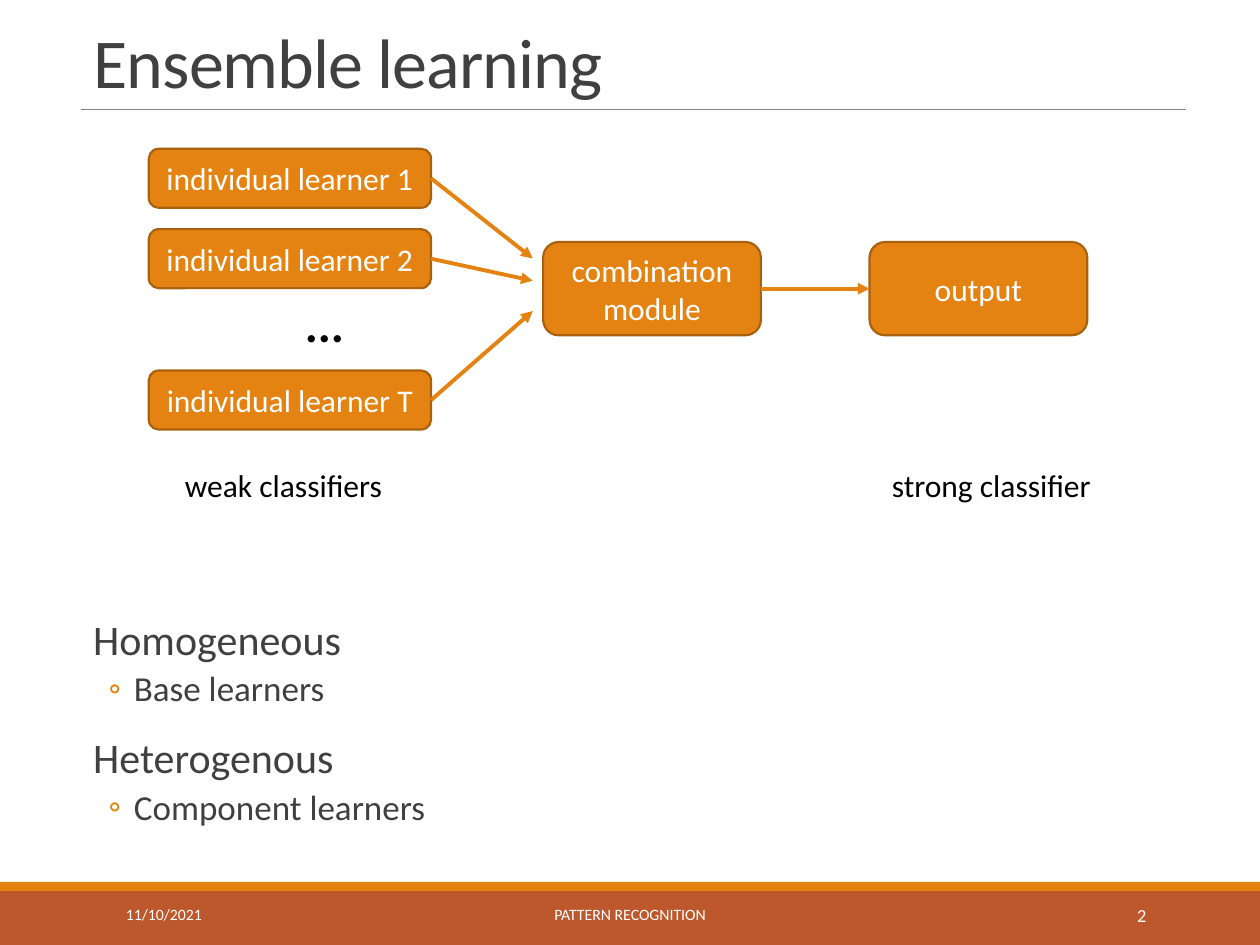
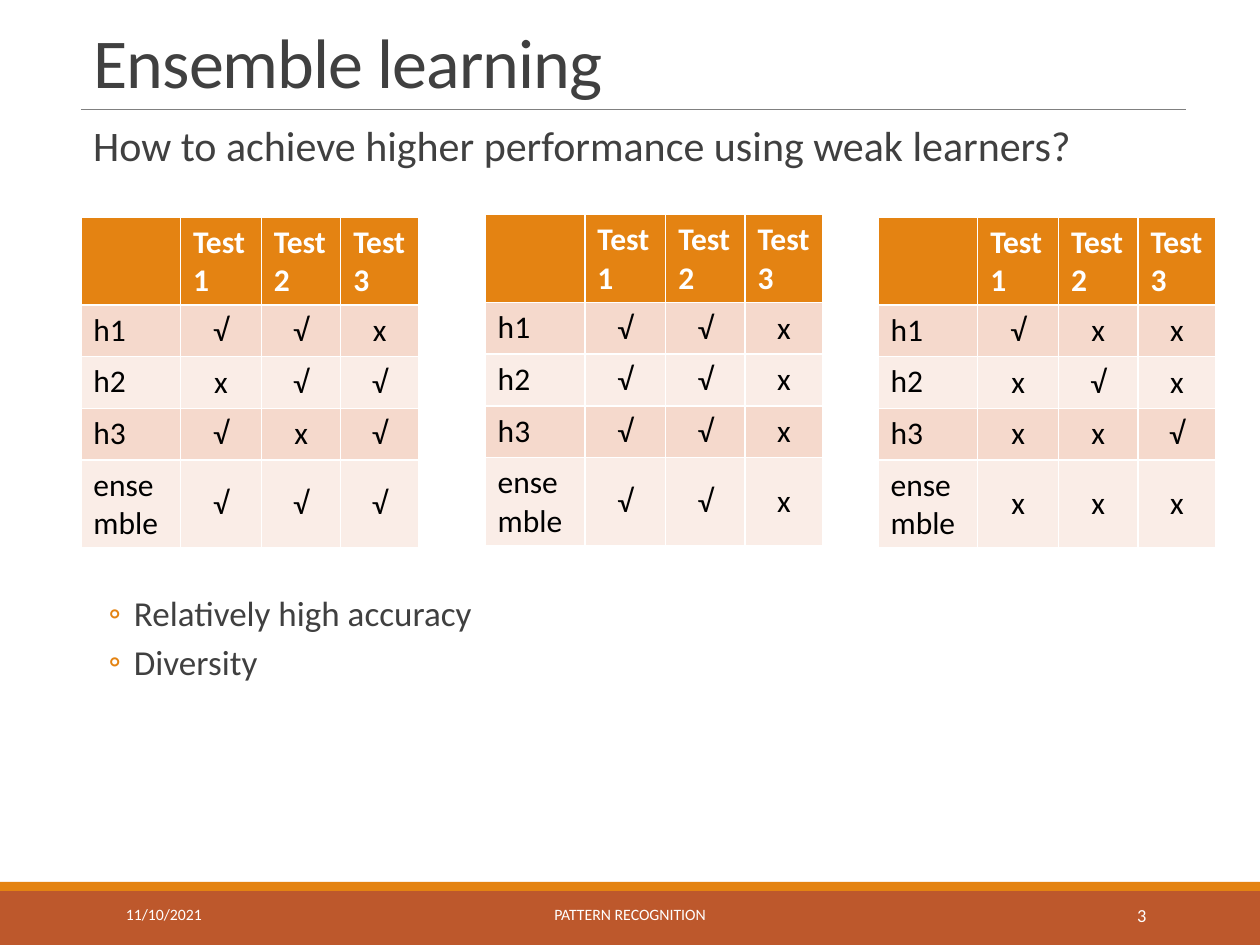
from dataclasses import dataclass

from lxml.etree import SubElement
from pptx import Presentation
from pptx.dml.color import RGBColor as RGB
from pptx.enum.shapes import MSO_CONNECTOR as LINK, MSO_SHAPE as SHAPE
from pptx.enum.text import MSO_ANCHOR as ANCHOR, MSO_AUTO_SIZE as FIT, PP_ALIGN as ALIGN
from pptx.oxml.ns import qn
from pptx.util import Cm, Pt


@dataclass(frozen=True)
class Theme:
    font: str = "Calibri"
    orange: str = "E48312"
    rust: str = "BD582C"
    edge: str = "A9610D"
    gray: str = "404040"
    rule: str = "808080"
    white: str = "FFFFFF"
    black: str = "000000"
    bands: tuple = ("F5D9CC", "FAEDE7")
    title: float = 40
    dots: float = 28
    head: float = 24
    item: float = 20
    label: float = 18
    page: float = 10.5
    foot: float = 9


@dataclass(frozen=True)
class Box:
    """A place on the slide, in centimetres."""
    left: float
    top: float
    width: float
    height: float

    def cm(self) -> tuple:
        return tuple(map(Cm, (self.left, self.top, self.width, self.height)))


@dataclass(frozen=True)
class Note:
    text: str
    box: Box
    size: float
    color: str
    align: ALIGN = ALIGN.LEFT
    anchor: ANCHOR = ANCHOR.TOP
    bold: bool = False


@dataclass(frozen=True)
class Learner:
    name: str
    top: float
    aim: float  # height at which its arrow ends


@dataclass(frozen=True)
class Vote:
    """Test results of one ensemble, a string of marks per row."""
    left: float
    top: float
    marks: tuple


T = Theme()
LEFT, WIDE = 1.63, 22.28
FOOT = 17.93
NODE = (4.39, 1.88)

LEARNERS = (
    Learner("individual learner 1", 3.0, 5.21),
    Learner("individual learner 2", 4.62, 5.66),
    Learner("individual learner T", 7.47, 6.27),
)
LABELS = (
    Note("...", Box(5.41, 5.79, 2.26, 1.45), T.dots, T.black, ALIGN.CENTER, bold=True),
    Note("weak classifiers", Box(3.48, 9.27, 4.75, 1.02), T.label, T.black),
    Note("strong classifier", Box(17.73, 9.27, 4.75, 1.02), T.label, T.black),
)
VOTES = (
    Vote(1.63, 4.37, ("√√x", "x√√", "√x√", "√√√")),
    Vote(9.78, 4.32, ("√√x", "√√x", "√√x", "√√x")),
    Vote(17.7, 4.37, ("√xx", "x√x", "xx√", "xxx")),
)
ROWS = ("h1", "h2", "h3", "ensemble")
TESTS = ("", "Test 1", "Test 2", "Test 3")
COLS = (2.01, 1.63, 1.6, 1.57)
HIGH = (1.78, 1.04, 1.04, 1.04, 1.78)


def style(frame, size: float, color: str, align: ALIGN = ALIGN.LEFT, bold: bool = False) -> None:
    for par in frame.paragraphs:
        par.alignment = align
        for run in par.runs:
            font = run.font
            font.name, font.size, font.bold = T.font, Pt(size), bold
            font.color.rgb = RGB.from_string(color)


def paint(slide, kind: SHAPE, box: Box, fill: str, edge: str = ""):
    """Add a filled shape, outlined only when an edge colour is given."""
    shape = slide.shapes.add_shape(kind, *box.cm())
    shape.shadow.inherit = False
    shape.fill.solid()
    shape.fill.fore_color.rgb = RGB.from_string(fill)
    if edge:
        shape.line.color.rgb = RGB.from_string(edge)
        shape.line.width = Pt(1.25)
    else:
        shape.line.fill.background()
    return shape


def node(slide, text: str, box: Box):
    shape = paint(slide, SHAPE.ROUNDED_RECTANGLE, box, T.orange, T.edge)
    frame = shape.text_frame
    frame.text = text
    frame.vertical_anchor = ANCHOR.MIDDLE
    style(frame, T.label, T.white, ALIGN.CENTER)
    return shape


def write(slide, note: Note) -> None:
    frame = slide.shapes.add_textbox(*note.box.cm()).text_frame
    frame.word_wrap = True
    frame.vertical_anchor = note.anchor
    frame.text = note.text
    style(frame, note.size, note.color, note.align, note.bold)


def line(slide, start: tuple, end: tuple, color: str, width: float):
    link = slide.shapes.add_connector(LINK.STRAIGHT, *map(Cm, start + end))
    link.line.color.rgb = RGB.from_string(color)
    link.line.width = Pt(width)
    SubElement(link._element.spPr, qn("a:effectLst"))
    return link


def arrow(slide, source, end: tuple, target=None) -> None:
    """Point from the right side of source to end, or to target's left side."""
    link = line(slide, (0, 0), end, T.orange, 2.25)
    link.begin_connect(source, 3)
    if target is not None:
        link.end_connect(target, 1)
    SubElement(link.line._get_or_add_ln(), qn("a:tailEnd"), type="triangle")


def bullet(par) -> None:
    props = par._p.get_or_add_pPr()
    props.set("marL", str(Cm(1.07)))
    props.set("indent", str(Cm(-0.51)))
    tint = SubElement(props, qn("a:buClr"))
    SubElement(tint, qn("a:srgbClr"), val=T.orange)
    SubElement(props, qn("a:buFont"), typeface=T.font)
    SubElement(props, qn("a:buChar"), char="◦")


def outline(slide, box: Box, lines: tuple) -> None:
    """Write headings and, for lines that start with a dash, bullets."""
    frame = slide.shapes.add_textbox(*box.cm()).text_frame
    frame.word_wrap = True
    frame.margin_left = frame.margin_right = 0
    frame.text = "\n".join(text.lstrip("-") for text in lines)
    style(frame, T.head, T.gray)
    for i, (par, text) in enumerate(zip(frame.paragraphs, lines)):
        item = text.startswith("-")
        if item:
            bullet(par)
            par.runs[0].font.size = Pt(T.item)
        else:
            par._p.get_or_add_pPr().set("marL", str(Cm(0.25)))
        par.line_spacing = 0.9
        par.space_before = Pt(0 if i == 0 else 2 if item else 12)
        par.space_after = Pt(4 if item else 2)


def grid(slide, vote: Vote) -> None:
    box = Box(vote.left, vote.top, sum(COLS), sum(HIGH))
    table = slide.shapes.add_table(len(HIGH), len(COLS), *box.cm()).table
    for col, width in zip(table.columns, COLS):
        col.width = Cm(width)
    for row, height in zip(table.rows, HIGH):
        row.height = Cm(height)
    data = [TESTS] + [(name, *marks) for name, marks in zip(ROWS, vote.marks)]
    for r, texts in enumerate(data):
        for c, text in enumerate(texts):
            cell = table.cell(r, c)
            cell.text = text
            cell.fill.solid()
            fill = T.bands[(r - 1) % 2] if r else T.orange
            cell.fill.fore_color.rgb = RGB.from_string(fill)
            mark = r > 0 and c > 0
            if mark:
                cell.vertical_anchor = ANCHOR.MIDDLE
            style(cell.text_frame, T.label, T.black if r else T.white,
                  ALIGN.CENTER if mark else ALIGN.LEFT, r == 0)


def start(deck, title: str, page: int):
    """Add a slide with its title, rule, bands and footer."""
    slide = deck.slides.add_slide(deck.slide_layouts[5])
    paint(slide, SHAPE.RECTANGLE, Box(0, FOOT, 25.4, 1.12), T.rust)
    paint(slide, SHAPE.RECTANGLE, Box(0, 17.78, 25.4, 0.18), T.orange)
    line(slide, (LEFT, 2.21), (LEFT + WIDE, 2.21), T.rule, 0.5)

    head = slide.shapes.title
    head.left, head.top, head.width, head.height = Box(LEFT, 0.33, WIDE, 1.88).cm()
    frame = head.text_frame
    frame.text = title
    frame.auto_size = FIT.NONE
    frame.vertical_anchor = ANCHOR.BOTTOM
    style(frame, T.title, T.gray)
    par = frame.paragraphs[0]
    par.line_spacing = 0.85
    par.runs[0].font._element.set("spc", "-50")

    for text, left, width, size, align in (
        ("11/10/2021", 2.29, 5.16, T.foot, ALIGN.LEFT),
        ("PATTERN RECOGNITION", 7.67, 10.06, T.foot, ALIGN.CENTER),
        (str(page), 20.62, 2.74, T.page, ALIGN.RIGHT),
    ):
        box = Box(left, FOOT, width, 1.02)
        write(slide, Note(text, box, size, T.white, align, ANCHOR.MIDDLE))
    return slide


def diagram(deck) -> None:
    slide = start(deck, "Ensemble learning", 2)
    module = node(slide, "combination\nmodule", Box(10.95, 4.88, *NODE))
    output = node(slide, "output", Box(17.53, 4.88, *NODE))
    for learner in LEARNERS:
        shape = node(slide, learner.name, Box(3.0, learner.top, 5.69, 1.19))
        arrow(slide, shape, (10.74, learner.aim))
    arrow(slide, module, (17.53, 5.82), output)
    for label in LABELS:
        write(slide, label)
    outline(slide, Box(LEFT, 12.36, WIDE, 5.1),
            ("Homogeneous", "-Base learners", "Heterogenous", "-Component learners"))


def results(deck) -> None:
    slide = start(deck, "Ensemble learning", 3)
    outline(slide, Box(LEFT, 2.39, WIDE, 1.3),
            ("How to achieve higher performance using weak learners?",))
    for vote in VOTES:
        grid(slide, vote)
    outline(slide, Box(LEFT, 11.9, WIDE, 2.4), ("-Relatively high accuracy", "-Diversity"))


def main() -> None:
    deck = Presentation()
    deck.slide_width, deck.slide_height = Cm(25.4), Cm(19.05)
    diagram(deck)
    results(deck)
    deck.save("out.pptx")


if __name__ == "__main__":
    main()
